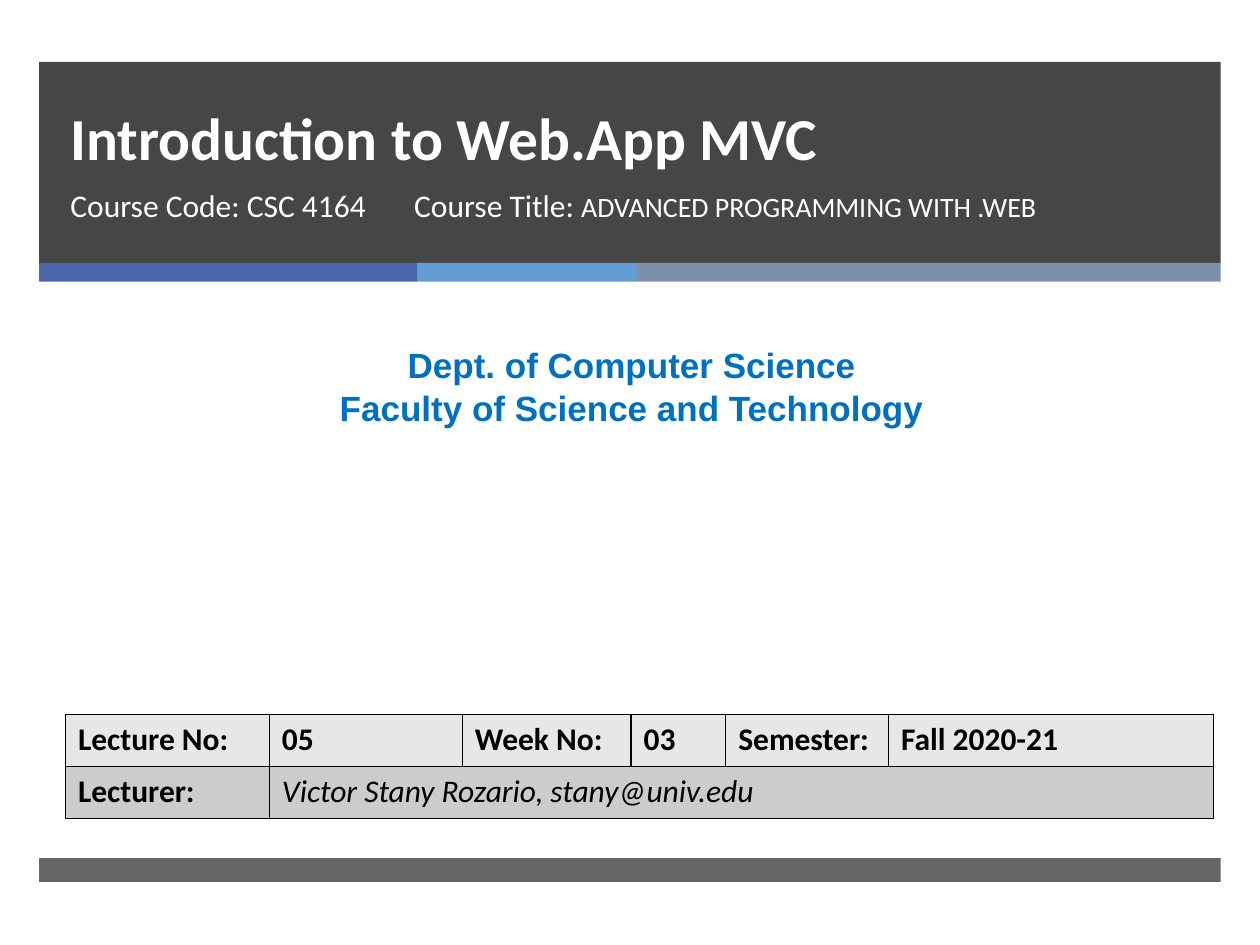
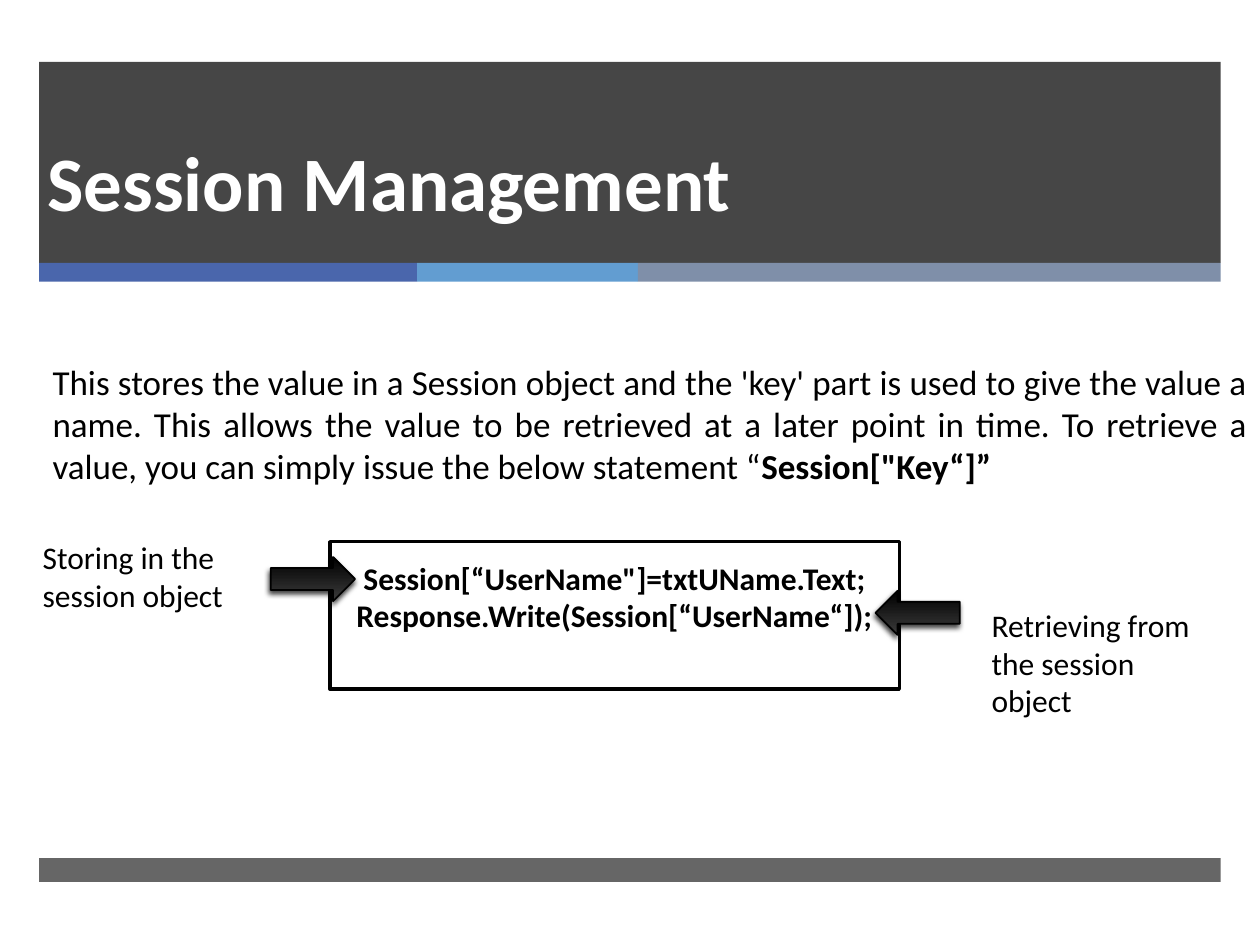
from dataclasses import dataclass

from lxml.etree import SubElement
from pptx import Presentation
from pptx.dml.color import RGBColor
from pptx.enum.shapes import MSO_SHAPE
from pptx.enum.text import MSO_ANCHOR, PP_ALIGN
from pptx.oxml.ns import qn
from pptx.shapes.autoshape import Shape
from pptx.slide import Slide
from pptx.table import _Cell
from pptx.text.text import TextFrame
from pptx.util import Cm, Pt


@dataclass(frozen=True)
class Theme:
    font: str = "Calibri"
    accent_font: str = "Arial"
    white: str = "FFFFFF"
    black: str = "000000"
    band: str = "262626"
    accent: str = "0070C0"
    stripes: tuple[str, ...] = ("4A66AC", "629DD1", "7F8FA9")
    table_rows: tuple[str, ...] = ("E7E7E7", "CCCCCC")
    arrow: tuple[str, ...] = ("3B3B3B", "000000")
    slide_title: int = 44
    cover_title: int = 34
    title_leading: int = 46
    body: int = 20
    label: int = 18
    small: int = 16


THEME = Theme()


@dataclass(frozen=True)
class Box:
    """A place on the slide, in centimetres."""
    left: float
    top: float
    width: float
    height: float

    def emu(self) -> tuple[Cm, Cm, Cm, Cm]:
        return Cm(self.left), Cm(self.top), Cm(self.width), Cm(self.height)


@dataclass(frozen=True)
class Style:
    size: int = THEME.label
    color: str = THEME.black
    bold: bool = False
    italic: bool = False
    font: str = THEME.font
    align: PP_ALIGN = PP_ALIGN.LEFT


@dataclass(frozen=True)
class TextItem:
    box: Box
    lines: tuple[str, ...]
    style: Style = Style()


@dataclass(frozen=True)
class Arrow:
    left: float
    top: float
    flipped: bool = False


BAND = Box(0.79, 1.25, 23.82, 4.05)
STRIPE_WIDTHS = (7.62, 4.45, 11.75)
STRIPE_HEIGHT = 0.38
FOOTER = Box(BAND.left, 17.3, BAND.width, 0.48)

WHITE_LABEL = Style(color=THEME.white)
COVER_TEXTS = (
    TextItem(Box(1.17, 3.63, 7.9, 1.96), ("Course Code: CSC 4164",), WHITE_LABEL),
    TextItem(Box(0.2, 6.81, 25.07, 1.96),
             ("Dept. of Computer Science", "Faculty of Science and Technology"),
             Style(THEME.body, THEME.accent, True, font=THEME.accent_font,
                   align=PP_ALIGN.CENTER)),
)
COURSE_TITLE = TextItem(Box(8.1, 3.63, 14.1, 1.98), ("Course Title: ",), WHITE_LABEL)

TABLE_LEFT, TABLE_TOP, ROW_HEIGHT = 1.32, 14.4, 1.05
COLUMN_WIDTHS = (4.11, 3.89, 3.4, 1.91, 3.28, 6.55)
LECTURE_ROWS = (
    ("Lecture No:", "05", "Week No:", "03", "Semester:", "Fall 2020-21"),
    ("Lecturer:", "Victor Stany Rozario, stany@univ.edu", "", "", "", ""),
)

EXPLANATION = TextItem(
    Box(0.81, 7.14, 24.59, 6.25),
    ("This stores the value in a Session object and the 'key' part is used to give "
     "the value a name. This allows the value to be retrieved at a later point in "
     "time. To retrieve a value, you can simply issue the below statement “",),
    Style(THEME.body, align=PP_ALIGN.JUSTIFY))
CODE = TextItem(
    Box(6.65, 10.92, 11.48, 2.97),
    ("Session[“UserName\"]=txtUName.Text;", "Response.Write(Session[“UserName“]);"),
    Style(bold=True, align=PP_ALIGN.CENTER))
CALLOUTS = (
    TextItem(Box(0.61, 10.72, 4.55, 1.8), ("Storing in the session object",)),
    TextItem(Box(19.74, 12.09, 4.55, 2.57), ("Retrieving from the session object",)),
)
ARROWS = (Arrow(5.46, 11.23), Arrow(17.65, 11.91, flipped=True))


def rgb(color: str) -> RGBColor:
    return RGBColor.from_string(color)


def write(tf: TextFrame, lines: tuple[str, ...], style: Style) -> None:
    tf.word_wrap = True
    for i, line in enumerate(lines):
        p = tf.paragraphs[0] if i == 0 else tf.add_paragraph()
        p.add_run().text = line
        p.alignment = style.align
        p.font.name = style.font
        p.font.size = Pt(style.size)
        p.font.bold = style.bold
        p.font.italic = style.italic
        p.font.color.rgb = rgb(style.color)


def add_text(slide: Slide, item: TextItem) -> TextFrame:
    tf = slide.shapes.add_textbox(*item.box.emu()).text_frame
    write(tf, item.lines, item.style)
    return tf


def add_rect(slide: Slide, box: Box, color: str, opacity: int = 100) -> Shape:
    sp = slide.shapes.add_shape(MSO_SHAPE.RECTANGLE, *box.emu())
    sp.shadow.inherit = False
    sp.fill.solid()
    sp.fill.fore_color.rgb = rgb(color)
    sp.line.fill.background()
    if opacity < 100:
        clr = sp._element.spPr.find(f"{qn('a:solidFill')}/{qn('a:srgbClr')}")
        SubElement(clr, qn("a:alpha"), val=str(opacity * 1000))
    return sp


def add_frame(slide: Slide) -> None:
    """Draw the title band, its stripes and the footer bar."""
    add_rect(slide, BAND, THEME.band, 85)
    left = BAND.left
    for width, color in zip(STRIPE_WIDTHS, THEME.stripes):
        add_rect(slide, Box(left, BAND.top + BAND.height, width, STRIPE_HEIGHT), color)
        left += width
    add_rect(slide, FOOTER, THEME.band, 70)


def add_title(slide: Slide, text: str, box: Box, size: int) -> None:
    tf = add_text(slide, TextItem(box, (text,), Style(size, THEME.white, True)))
    tf.vertical_anchor = MSO_ANCHOR.BOTTOM
    tf.paragraphs[0].line_spacing = Pt(THEME.title_leading)


def set_borders(cell: _Cell) -> None:
    tc_pr = cell._tc.get_or_add_tcPr()
    for i, side in enumerate(("a:lnL", "a:lnR", "a:lnT", "a:lnB")):
        ln = tc_pr.makeelement(qn(side), {"w": str(Pt(1))})
        SubElement(SubElement(ln, qn("a:solidFill")), qn("a:srgbClr"), val=THEME.black)
        tc_pr.insert(i, ln)


def add_lecture_table(slide: Slide) -> None:
    box = Box(TABLE_LEFT, TABLE_TOP, sum(COLUMN_WIDTHS), ROW_HEIGHT * len(LECTURE_ROWS))
    table = slide.shapes.add_table(
        len(LECTURE_ROWS), len(COLUMN_WIDTHS), *box.emu()).table
    table.first_row = table.horz_banding = False
    for column, width in zip(table.columns, COLUMN_WIDTHS):
        column.width = Cm(width)
    for row, values in enumerate(LECTURE_ROWS):
        for col, value in enumerate(values):
            cell = table.cell(row, col)
            cell.fill.solid()
            cell.fill.fore_color.rgb = rgb(THEME.table_rows[row])
            set_borders(cell)
            if value:
                is_lecturer = (row, col) == (1, 1)
                write(cell.text_frame, (value,),
                      Style(bold=not is_lecturer, italic=is_lecturer))
    table.cell(1, 1).merge(table.cell(1, len(COLUMN_WIDTHS) - 1))


def add_code_box(slide: Slide) -> None:
    sp = add_rect(slide, CODE.box, THEME.white)
    sp.line.color.rgb = rgb(THEME.black)
    sp.line.width = Pt(2)
    tf = sp.text_frame
    tf.vertical_anchor = MSO_ANCHOR.MIDDLE
    tf.margin_bottom = Cm(0.89)
    write(tf, CODE.lines, CODE.style)


def add_arrow(slide: Slide, arrow: Arrow) -> None:
    box = Box(arrow.left, arrow.top, 1.7, 0.89)
    sp = slide.shapes.add_shape(MSO_SHAPE.RIGHT_ARROW, *box.emu())
    sp.fill.gradient()
    sp.fill.gradient_angle = 90
    for stop, color in zip(sp.fill.gradient_stops, THEME.arrow):
        stop.color.rgb = rgb(color)
    sp.line.color.rgb = rgb(THEME.black)
    sp.line.width = Pt(1)
    sp.shadow.inherit = False
    sp_pr = sp._element.spPr
    if arrow.flipped:
        sp_pr.find(qn("a:xfrm")).set("flipH", "1")
    shadow = SubElement(sp_pr.find(qn("a:effectLst")), qn("a:outerShdw"),
                        blurRad=str(Pt(3)), dist=str(Pt(2)), dir=str(110 * 60000),
                        rotWithShape="0")
    clr = SubElement(shadow, qn("a:srgbClr"), val=THEME.black)
    SubElement(clr, qn("a:alpha"), val="75000")


def build_cover(slide: Slide) -> None:
    add_title(slide, "Introduction to Web.App MVC", Box(1.17, 1.25, 21.29, 2.36),
              THEME.cover_title)
    for item in COVER_TEXTS:
        add_text(slide, item)
    add_lecture_table(slide)
    r = add_text(slide, COURSE_TITLE).paragraphs[0].add_run()
    r.text = "ADVANCED PROGRAMMING WITH .WEB"
    r.font.size = Pt(THEME.small)


def build_session(slide: Slide) -> None:
    add_title(slide, "Session Management", Box(0.71, 0, 21.06, 4.7), THEME.slide_title)
    r = add_text(slide, EXPLANATION).paragraphs[0].add_run()
    r.text = "Session[\"Key“]”"
    r.font.bold = True
    add_code_box(slide)
    for item in CALLOUTS:
        add_text(slide, item)
    for arrow in ARROWS:
        add_arrow(slide, arrow)


def main() -> None:
    prs = Presentation()
    prs.slide_width, prs.slide_height = Cm(25.4), Cm(19.05)
    for build in (build_cover, build_session):
        slide = prs.slides.add_slide(prs.slide_layouts[6])
        add_frame(slide)
        build(slide)
    prs.save("out.pptx")


if __name__ == "__main__":
    main()
